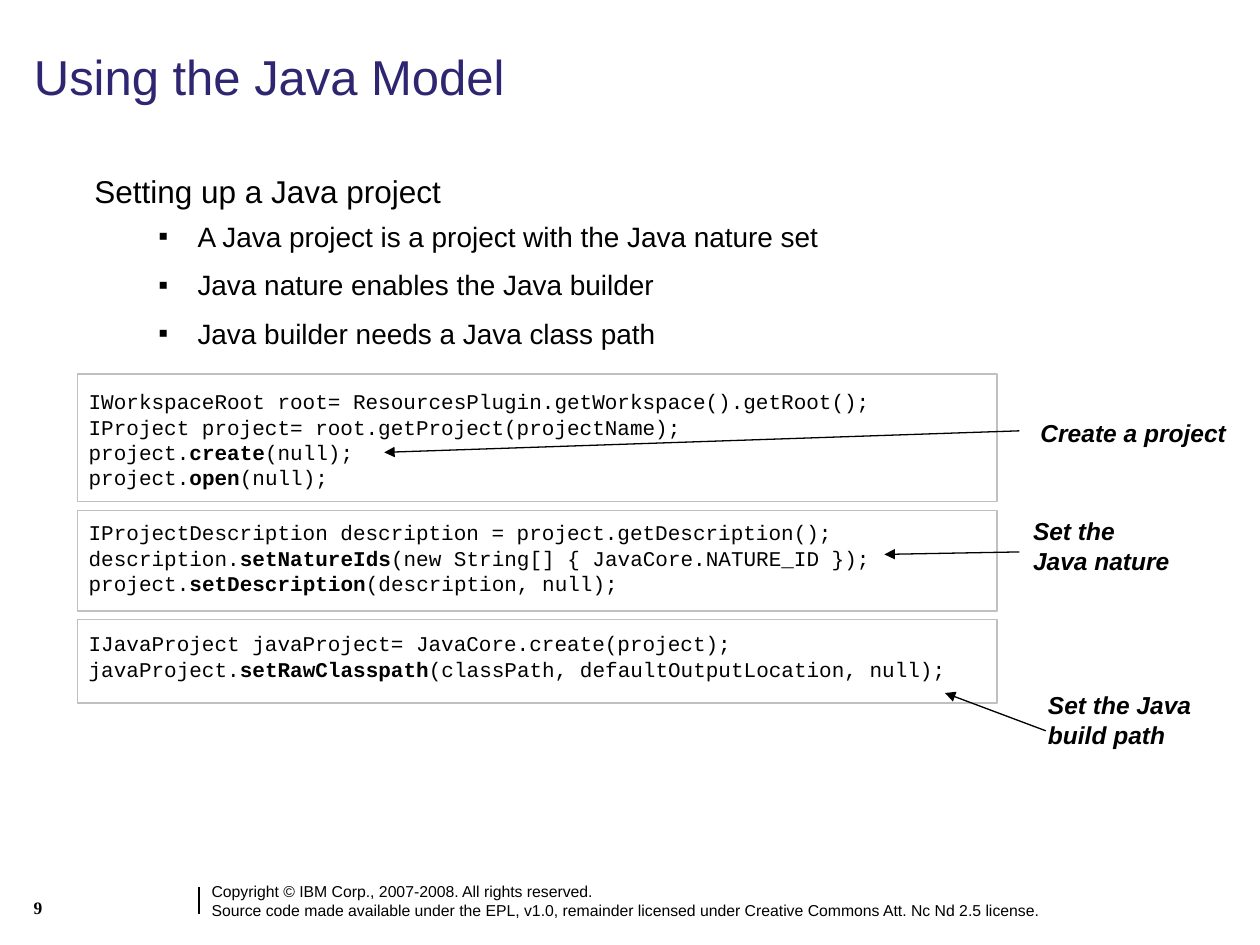
from lxml import etree
from pptx import Presentation
from pptx.dml.color import RGBColor
from pptx.enum import shapes, text
from pptx.oxml import ns
from pptx.util import Pt

INK = {"title": "2F2672", "text": "000000", "frame": "C0C0C0"}


def write(box, lines, size, font="Arial", bold=False, italic=False, color="text"):
    """Fill a box with lines; text between asterisks turns bold."""
    frame = box.text_frame
    frame.word_wrap = True
    for i, line in enumerate(lines):
        para = frame.paragraphs[0] if i == 0 else frame.add_paragraph()
        for j, part in enumerate(line.split("*")):
            run = para.add_run()
            run.text = part
            run.font.size = Pt(size)
            run.font.name = font
            run.font.bold = bold or j % 2 == 1
            run.font.italic = italic
            run.font.color.rgb = RGBColor.from_string(INK[color])
    return frame


def rule(x1, y1, x2, y2, arrow=True):
    """Draw a thin black line, with an arrowhead at its end if wanted."""
    line = slide.shapes.add_connector(
        shapes.MSO_CONNECTOR.STRAIGHT, Pt(x1), Pt(y1), Pt(x2), Pt(y2))
    line.line.width = Pt(0.75)
    line.line.color.rgb = RGBColor.from_string(INK["text"])
    if arrow:
        tail = etree.SubElement(line.line._get_or_add_ln(), ns.qn("a:tailEnd"))
        tail.set("type", "triangle")
    etree.SubElement(line._element.spPr, ns.qn("a:effectLst"))


prs = Presentation()
prs.slide_width, prs.slide_height = Pt(720), Pt(540)
slide = prs.slides.add_slide(prs.slide_layouts[5])

# Footer
rule(113.8, 506.9, 113.8, 522, arrow=False)
foot = slide.shapes.add_textbox(Pt(113.8), Pt(500.4), Pt(606.2), Pt(28.8))
write(foot, [
    "Copyright © IBM Corp., 2007-2008. All rights reserved.",
    "Source code made available under the EPL, v1.0, remainder licensed "
    "under Creative Commons Att. Nc Nd 2.5 license.",
], 9)
num = slide.shapes.add_textbox(Pt(12.2), Pt(509), Pt(79.2), Pt(25.2))
write(num, ["9"], 10, "Times New Roman", bold=True)

# Title
title = slide.shapes.title
title.left, title.top, title.width, title.height = Pt(12.2), Pt(25.9), Pt(649.4), Pt(39.6)
frame = write(title, ["Using the Java Model"], 28, color="title")
frame.vertical_anchor = text.MSO_ANCHOR.MIDDLE
frame.paragraphs[0].alignment = text.PP_ALIGN.LEFT
frame.paragraphs[0].line_spacing = 0.9

# Heading and bullets
body = slide.shapes.add_textbox(Pt(46.8), Pt(94.7), Pt(570.2), Pt(358.6))
frame = write(body, [
    "Setting up a Java project",
    "A Java project is a project with the Java nature set",
    "Java nature enables the Java builder",
    "Java builder needs a Java class path",
], 16)
head, *points = frame.paragraphs
head.runs[0].font.size = Pt(18)
for para in points:
    para.level = 1
    para.space_before, para.space_after = Pt(5.5), Pt(3)
    props = para._p.get_or_add_pPr()
    props.set("marL", str(Pt(59)))
    props.set("indent", str(Pt(-22.3)))
    etree.SubElement(props, ns.qn("a:buFont")).set("typeface", "Arial")
    etree.SubElement(props, ns.qn("a:buChar")).set("char", "▪")

# Code steps: frame top and height, text top, code, label box, label, arrow
steps = [
    (213.8, 72.7, 218.5, [
        "IWorkspaceRoot root= ResourcesPlugin.getWorkspace().getRoot();",
        "IProject project= root.getProject(projectName);",
        "project.*create*(null);",
        "project.*open*(null);",
    ], (587.5, 235.4, 125), "Create a project", (582.5, 246.2, 219.6, 258.5)),
    (291.6, 57.6, 293.4, [
        "IProjectDescription description = project.getDescription();",
        "description.*setNatureIds*(new String[] { JavaCore.NATURE_ID });",
        "project.*setDescription*(description, null);",
    ], (583.2, 291.6, 92.2), "Set the Java nature", (582.5, 315.4, 505.4, 316.8)),
    (354.2, 47.5, 356.9, [
        "IJavaProject javaProject= JavaCore.create(project);",
        "javaProject.*setRawClasspath*(classPath, defaultOutputLocation, null);",
    ], (591.8, 391, 105.8), "Set the Java build path", (597.6, 417.6, 540, 396)),
]
for top, high, start, code, (x, y, wide), label, arrow in steps:
    box = slide.shapes.add_textbox(Pt(43.6), Pt(start), Pt(535.7), Pt(high))
    for para in write(box, code, 12, "Courier New").paragraphs:
        para.line_spacing = Pt(14.5)
    edge = slide.shapes.add_shape(
        shapes.MSO_SHAPE.RECTANGLE, Pt(44.2), Pt(top), Pt(525.6), Pt(high))
    edge.shadow.inherit = False
    edge.fill.background()
    edge.line.width = Pt(0.75)
    edge.line.color.rgb = RGBColor.from_string(INK["frame"])
    note = slide.shapes.add_textbox(Pt(x), Pt(y), Pt(wide), Pt(41))
    write(note, [label], 14, bold=True, italic=True)
    rule(*arrow)

prs.save("out.pptx")
